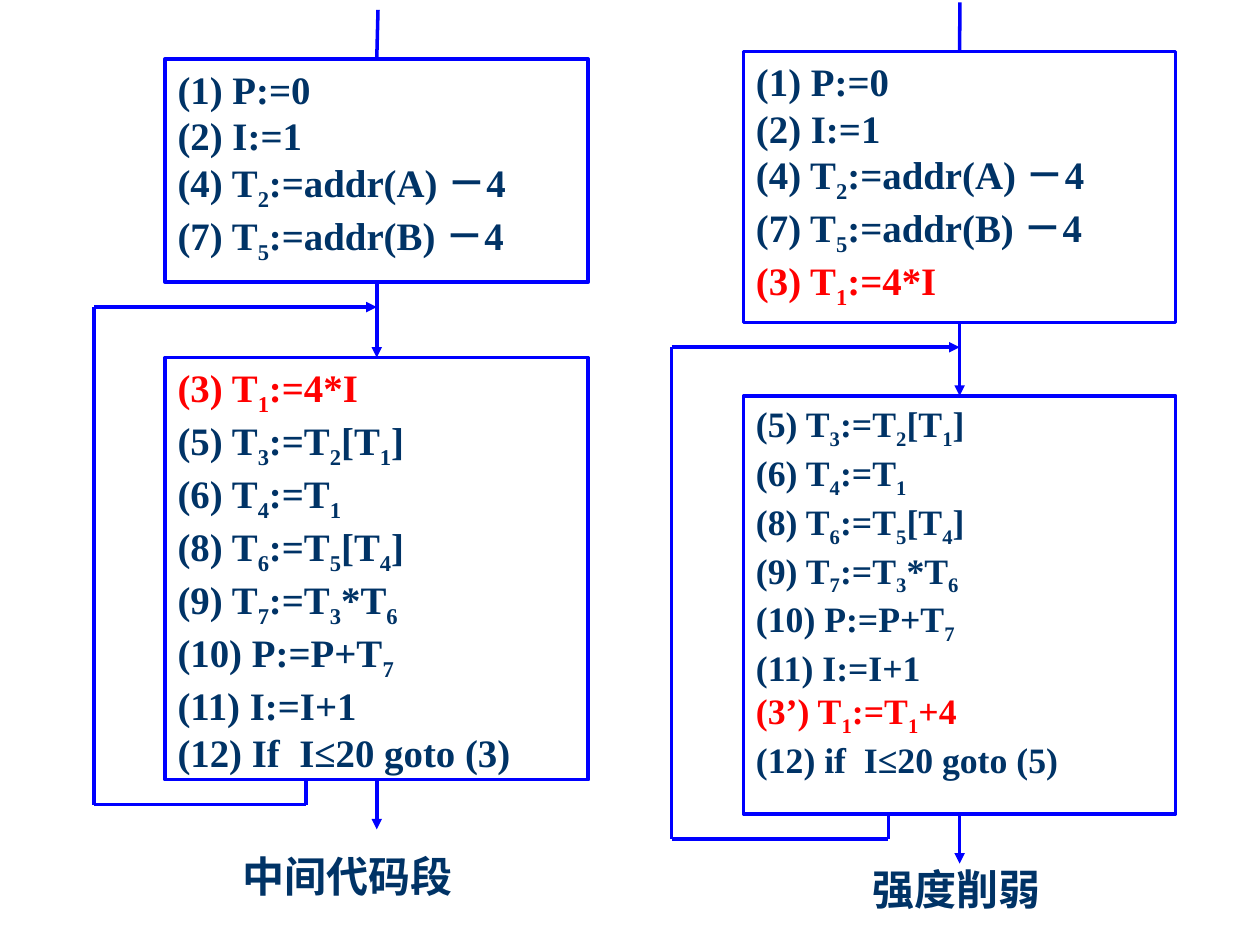
from pptx import Presentation
from pptx.dml.color import RGBColor
from pptx.enum.shapes import MSO_CONNECTOR, MSO_SHAPE
from pptx.enum.text import MSO_ANCHOR, PP_ALIGN
from pptx.oxml.ns import qn
from pptx.util import Cm, Pt
from lxml import etree

RECT = MSO_SHAPE.RECTANGLE
LINE = MSO_CONNECTOR.STRAIGHT
TOP = MSO_ANCHOR.TOP
JUSTIFY = PP_ALIGN.JUSTIFY
FONT = "Times New Roman"
BLUE, NAVY, RED, WHITE = "0000FF", "003366", "FF0000", "FFFFFF"


def paint(color, code):
    color.rgb = RGBColor.from_string(code)


def wire(x1, y1, x2, y2, arrow=False):
    link = slide.shapes.add_connector(LINE, Cm(x1), Cm(y1), Cm(x2), Cm(y2))
    paint(link.line.color, BLUE)
    link.line.width = Pt(2)
    if arrow:
        etree.SubElement(link.line._get_or_add_ln(), qn("a:tailEnd"), type="triangle")
    etree.SubElement(link._element.spPr, qn("a:effectLst"))
    return link


deck = Presentation()
deck.slide_width, deck.slide_height = Cm(25.4), Cm(19.05)
slide = deck.slides.add_slide(deck.slide_layouts[6])

# Code lines: "_" lowers the next digit, "!" marks a red line
setup = ["(1) P:=0", "(2) I:=1", "(4) T_2:=addr(A) －4", "(7) T_5:=addr(B) －4"]
first = "!(3) T_1:=4*I"
body = ["(5) T_3:=T_2[T_1]", "(6) T_4:=T_1", "(8) T_6:=T_5[T_4]",
        "(9) T_7:=T_3*T_6", "(10) P:=P+T_7", "(11) I:=I+1"]

# Each chart: left, width, entry x, entry y, loop x, branch x,
# boxes (top, height, size, lines), caption (left, top, width, text)
charts = [
    (3.33, 8.53, 7.62, 0.2, 1.9, 6.17,
     [(1.19, 4.5, 22.2, setup),
      (7.21, 8.51, 22.2, [first, *body, "(12) If  I≤20 goto (3)"])],
     (4.88, 17.15, 4.65, "中间代码段")),
    (14.99, 8.71, 19.35, 0.05, 13.54, 17.91,
     [(1.04, 5.46, 22.2, setup + [first]),
      (7.98, 8.43, 20.4, [*body, "!(3’) T_1:=T_1+4", "(12) if  I≤20 goto (5)"])],
     (17.58, 17.4, 4.01, "强度削弱")),
]

for left, width, start, entry, back, branch, boxes, caption in charts:
    # Code boxes
    blocks = []
    for top, height, size, lines in boxes:
        box = slide.shapes.add_shape(RECT, Cm(left), Cm(top), Cm(width), Cm(height))
        box.shadow.inherit = False
        box.fill.solid()
        paint(box.fill.fore_color, WHITE)
        paint(box.line.color, BLUE)
        box.line.width = Pt(2)
        frame = box.text_frame
        frame.word_wrap = True
        frame.vertical_anchor = TOP
        for i, line in enumerate(lines):
            para = frame.add_paragraph() if i else frame.paragraphs[0]
            para.alignment = JUSTIFY
            head, *rest = line.lstrip("!").split("_")
            parts = [(head, False)]
            for part in rest:
                parts += [(part[0], True), (part[1:], False)]
            for text, low in parts:
                if not text:
                    continue
                run = para.add_run()
                run.text = text
                run.font.name, run.font.size, run.font.bold = FONT, Pt(size), True
                paint(run.font.color, RED if line[0] == "!" else NAVY)
                if low:
                    run.font._element.set("baseline", "-25000")
        blocks.append(box)

    # Downward flow
    upper, lower = blocks
    mid = left + width / 2
    gap = boxes[0][0] + boxes[0][1]
    end = boxes[1][0] + boxes[1][1]
    wire(start, entry, mid, boxes[0][0]).end_connect(upper, 0)
    flow = wire(mid, gap, mid, boxes[1][0], True)
    flow.begin_connect(upper, 2)
    flow.end_connect(lower, 0)
    wire(mid, end, mid, end + 1, True).begin_connect(lower, 2)

    # Loop back to the lower box
    turn, join = end + 0.5, gap + 0.5
    wire(branch, end, branch, turn)
    wire(back, turn, branch, turn)
    wire(back, turn, back, join)
    wire(back, join, mid, join, True)

    # Caption
    x, y, wide, title = caption
    label = slide.shapes.add_textbox(Cm(x), Cm(y), Cm(wide), Cm(1.02))
    frame = label.text_frame
    frame.word_wrap = True
    frame.margin_left = frame.margin_right = frame.margin_top = frame.margin_bottom = 0
    frame.text = title
    font = frame.paragraphs[0].runs[0].font
    font.name, font.size, font.bold = FONT, Pt(24), True
    paint(font.color, NAVY)

deck.save("out.pptx")
